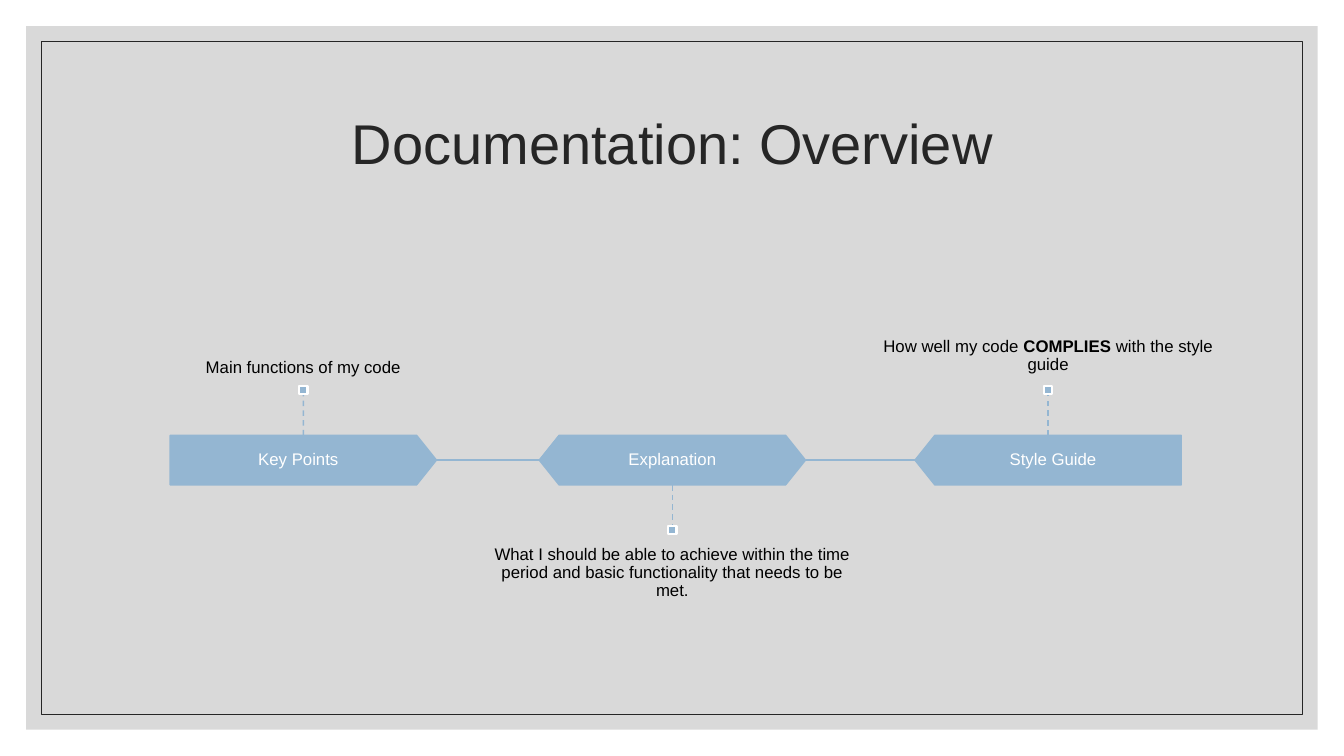
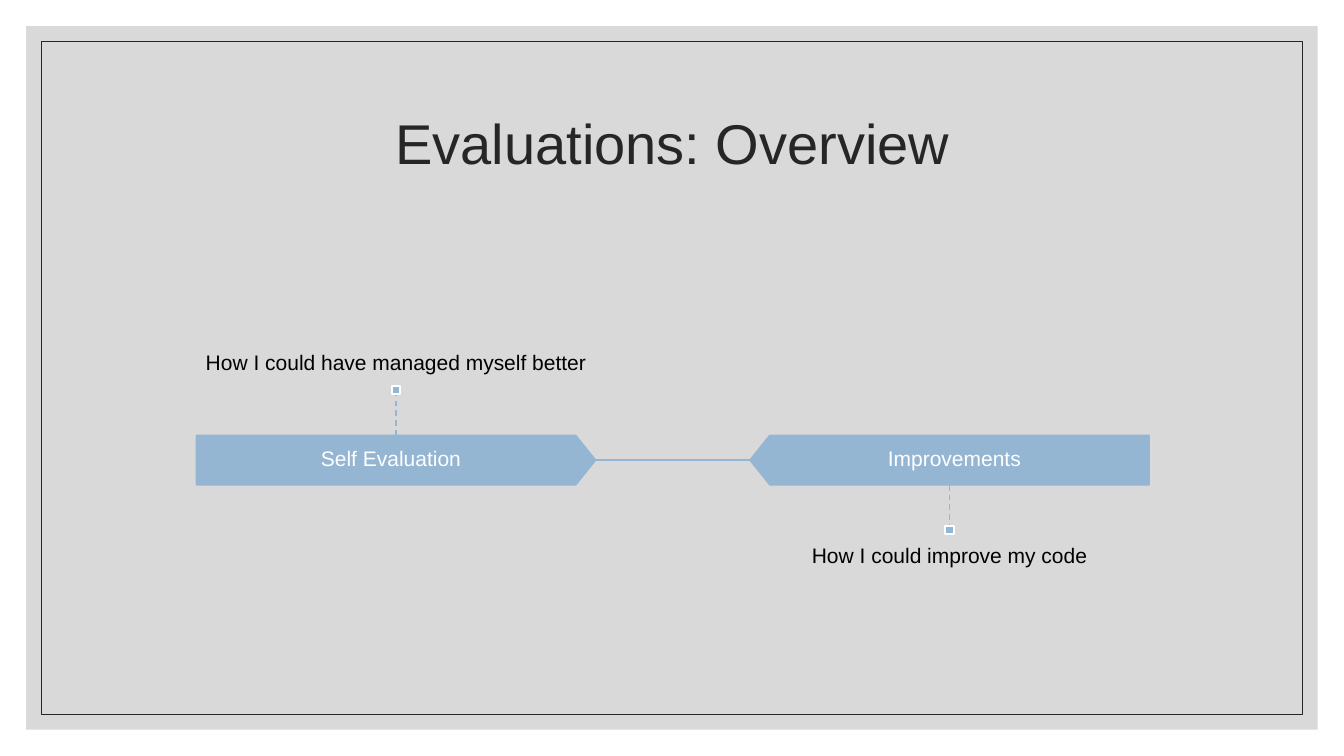
from lxml import etree
from pptx import Presentation
from pptx.dml.color import RGBColor
from pptx.enum import dml, shapes, text
from pptx.oxml import ns
from pptx.util import Cm, Pt

# Content: each step is (shape, left in cm, label, note runs, note above?)
OVERVIEWS = [
    {"title": "Documentation: Overview", "size": 12, "bar": 6.71, "note": 9.3, "inset": 0.3,
     "steps": [
         ("first", 4.29, "Key Points", ["Main functions of my code"], True),
         ("middle", 13.59, "Explanation",
          ["What I should be able to achieve within the time period "
           "and basic functionality that needs to be met."], False),
         ("last", 23.06, "Style Guide",
          ["How well my code ", "COMPLIES ", "with the style guide"], True),
     ]},
    {"title": "Evaluations: Overview", "size": 15, "bar": 10.06, "note": 13.97, "inset": 0.38,
     "steps": [
         ("first", 4.95, "Self Evaluation", ["How I could have managed myself better"], True),
         ("last", 18.9, "Improvements", ["How I could improve my code"], False),
     ]},
]
BOLD_TEXT = {"COMPLIES "}

# Shared style, lengths in cm
FONT = "Arial"
BLUE = RGBColor(0x94, 0xB6, 0xD2)
GREY = RGBColor(0xD9, 0xD9, 0xD9)
DARK = RGBColor(0x26, 0x26, 0x26)
WHITE = RGBColor(0xFF, 0xFF, 0xFF)
BLACK = RGBColor(0, 0, 0)
SLIDE_WIDTH, SLIDE_HEIGHT = 33.87, 19.05
BAR_TOP, BAR_HEIGHT = 10.97, 1.25
STEM, MARKER, NOTE_HEIGHT = 1.03, 0.21, 3.3
BAR_SHAPES = {"first": shapes.MSO_SHAPE.PENTAGON,
              "middle": shapes.MSO_SHAPE.HEXAGON,
              "last": shapes.MSO_SHAPE.PENTAGON}


def add_box(slide, kind, left, top, width, height, fill=None, line=None, weight=1):
    shape = slide.shapes.add_shape(kind, Cm(left), Cm(top), Cm(width), Cm(height))
    shape.shadow.inherit = False
    if fill is None:
        shape.fill.background()
    else:
        shape.fill.solid()
        shape.fill.fore_color.rgb = fill
    if line is None:
        shape.line.fill.background()
    else:
        shape.line.color.rgb = line
        shape.line.width = Pt(weight)
    return shape


def add_line(slide, x1, y1, x2, y2, dashed=False):
    line = slide.shapes.add_connector(
        shapes.MSO_CONNECTOR.STRAIGHT, Cm(x1), Cm(y1), Cm(x2), Cm(y2))
    line.line.color.rgb = BLUE
    line.line.width = Pt(1)
    if dashed:
        line.line.dash_style = dml.MSO_LINE.DASH
    etree.SubElement(line._element.spPr, ns.qn("a:effectLst"))
    return line


def write(shape, runs, size, color, anchor, side=0, edge=0):
    frame = shape.text_frame
    frame.word_wrap = True
    frame.vertical_anchor = anchor
    frame.margin_left = frame.margin_right = Cm(side)
    frame.margin_top = frame.margin_bottom = Cm(edge)
    paragraph = frame.paragraphs[0]
    paragraph.alignment = text.PP_ALIGN.CENTER
    paragraph.line_spacing = 0.9
    for content in runs:
        run = paragraph.add_run()
        run.text = content
        run.font.name = FONT
        run.font.size = Pt(size)
        run.font.bold = content in BOLD_TEXT
        run.font.color.rgb = color


def add_frame(slide, layout):
    """Draw the grey panel and thin border, then move them to the shared layout."""
    for margin, fill, line in ((0.66, GREY, None), (1.04, None, DARK)):
        panel = add_box(slide, shapes.MSO_SHAPE.RECTANGLE, margin, margin,
                        SLIDE_WIDTH - 2 * margin, SLIDE_HEIGHT - 2 * margin, fill, line, 0.5)
        layout.shapes._spTree.append(panel._element)


def add_title(slide, title):
    shape = slide.shapes.title
    shape.left, shape.top, shape.width, shape.height = Cm(2.97), Cm(1.78), Cm(27.94), Cm(3.81)
    write(shape, [title], 40, DARK, text.MSO_ANCHOR.MIDDLE)


def add_step(slide, overview, step):
    position, left, label, note, above = step
    size, width = overview["size"], overview["bar"]
    center = left + width / 2

    # Labelled bar
    bar = add_box(slide, BAR_SHAPES[position], left, BAR_TOP, width, BAR_HEIGHT, BLUE, BLUE)
    bar.adjustments[0] = 0.4
    if position == "last":
        bar._element.spPr.find(ns.qn("a:xfrm")).set("flipH", "1")
    write(bar, [label], size, WHITE, text.MSO_ANCHOR.MIDDLE)

    # Dashed stem, square marker and note, above or below the bar
    if above:
        bar_edge, marker_top = BAR_TOP, BAR_TOP - STEM - MARKER
        note_top, anchor, marker_side = marker_top - NOTE_HEIGHT, text.MSO_ANCHOR.BOTTOM, 2
    else:
        bar_edge = BAR_TOP + BAR_HEIGHT
        marker_top = bar_edge + STEM
        note_top, anchor, marker_side = marker_top + MARKER, text.MSO_ANCHOR.TOP, 0
    stem = add_line(slide, center, bar_edge, center, marker_top, dashed=True)
    marker = add_box(slide, shapes.MSO_SHAPE.RECTANGLE, center - MARKER / 2, marker_top,
                     MARKER, MARKER, BLUE, WHITE, 1.5)
    stem.end_connect(marker, marker_side)
    box = slide.shapes.add_textbox(Cm(center - overview["note"] / 2), Cm(note_top),
                                   Cm(overview["note"]), Cm(NOTE_HEIGHT))
    write(box, note, size, BLACK, anchor, edge=overview["inset"])


def main():
    presentation = Presentation()
    presentation.slide_width, presentation.slide_height = Cm(SLIDE_WIDTH), Cm(SLIDE_HEIGHT)
    layout = presentation.slide_layouts[5]
    for number, overview in enumerate(OVERVIEWS):
        slide = presentation.slides.add_slide(layout)
        if number == 0:
            add_frame(slide, layout)
        add_title(slide, overview["title"])
        for step in overview["steps"]:
            add_step(slide, overview, step)
        # Lines between neighbouring bars
        lefts = [step[1] for step in overview["steps"]]
        middle = BAR_TOP + BAR_HEIGHT / 2
        for left, next_left in zip(lefts, lefts[1:]):
            add_line(slide, left + overview["bar"], middle, next_left, middle)
    presentation.save("out.pptx")


if __name__ == "__main__":
    main()
